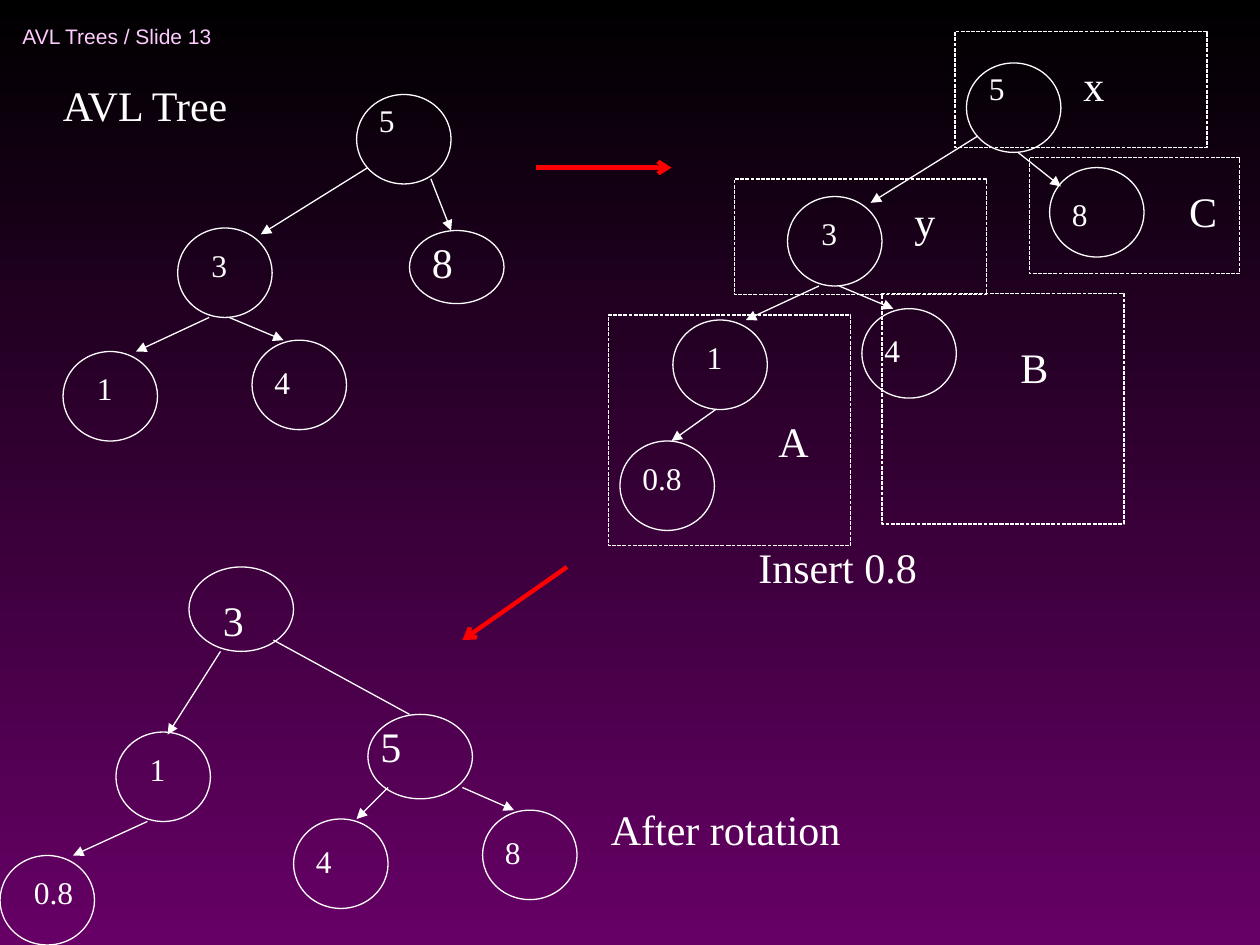
"""Build a slide that shows an AVL tree before and after a rotation."""
from collections import namedtuple

from lxml import etree
from pptx import Presentation
from pptx.dml.color import RGBColor
from pptx.enum.dml import MSO_LINE
from pptx.enum.shapes import MSO_CONNECTOR, MSO_SHAPE
from pptx.enum.text import MSO_ANCHOR
from pptx.oxml.ns import qn
from pptx.util import Inches, Pt

WHITE = RGBColor(0xFF, 0xFF, 0xFF)
BLACK = RGBColor(0x00, 0x00, 0x00)
PURPLE = RGBColor(0x66, 0x00, 0x66)
PINK = RGBColor(0xFF, 0xCC, 0xFF)
RED = RGBColor(0xFF, 0x00, 0x00)
DASHED = MSO_LINE.SQUARE_DOT
ELLIPSE = MSO_SHAPE.OVAL
RECTANGLE = MSO_SHAPE.RECTANGLE
STRAIGHT = MSO_CONNECTOR.STRAIGHT
TOP = MSO_ANCHOR.TOP
MIDDLE = MSO_ANCHOR.MIDDLE

Node = namedtuple("Node", "left top")
Label = namedtuple("Label", "shift drop width height size")
Edge = namedtuple("Edge", "start end")

ROUND = (0.75, 0.71)
FLAT = (0.75, 0.58)
WIDE = (0.83, 0.67)

ROOT = Label(0.08, 0, 1.33, 0.4, 18)
INNER = Label(0.17, 0.09, 1.33, 0.4, 18)
LEFT_LEAF = INNER._replace(width=0.83)
RIGHT_LEAF = Label(0.08, 0.13, 1, 0.4, 18)
LARGE = Label(0.08, 0, 1, 0.5, 24)

ROOT_TO_LEFT = Edge((0.09, 0.58), (0.66, 0.05))
TO_LEFT_LEAF = Edge((0.25, 0.71), (0.58, 0))
TO_RIGHT_LEAF = Edge((0.41, 0.71), (0.25, 0))


class TreeSlide:
    """Holds the text and line style and the slide being drawn."""

    def __init__(self, slide):
        self.slide = slide
        self.text_format = {"name": "Times New Roman", "size": Pt(24)}
        self.line_width = Pt(0.75)

    def background(self, top, bottom):
        fill = self.slide.background.fill
        fill.gradient()
        fill.gradient_angle = 270
        for stop, position, color in zip(fill.gradient_stops, (0, 1), (top, bottom)):
            stop.position = position
            stop.color.rgb = color

    def text(self, words, left, top, width, height=0.5, color=WHITE, anchor=TOP, **changes):
        box = self.slide.shapes.add_textbox(*map(Inches, (left, top, width, height)))
        box.text_frame.word_wrap = True
        box.text_frame.vertical_anchor = anchor
        span = box.text_frame.paragraphs[0].add_run()
        span.text = words
        for key, value in {**self.text_format, **changes}.items():
            setattr(span.font, key, value)
        span.font.color.rgb = color

    def outline(self, kind, left, top, width, height, dash=None):
        shape = self.slide.shapes.add_shape(kind, *map(Inches, (left, top, width, height)))
        shape.shadow.inherit = False
        shape.fill.background()
        shape.line.color.rgb = WHITE
        for key, value in {"width": self.line_width, "dash_style": dash}.items():
            setattr(shape.line, key, value)

    def node(self, key, left, top, label, size=ROUND):
        self.outline(ELLIPSE, left, top, *size)
        self.text(key, left + label.shift, top + label.drop, label.width, label.height,
                  size=Pt(label.size))
        return Node(left, top)

    def edge(self, parent, child, edge, head="triangle"):
        start, end = [(node.left + across, node.top + down)
                      for node, (across, down) in zip((parent, child), edge)]
        self.line(start, end, head=head)

    def line(self, start, end, color=WHITE, width=None, head="triangle"):
        connector = self.slide.shapes.add_connector(STRAIGHT, *map(Inches, (*start, *end)))
        connector.line.color.rgb = color
        connector.line.width = width or self.line_width
        if head:
            etree.SubElement(connector.line._get_or_add_ln(), qn("a:tailEnd"), type=head)
        etree.SubElement(connector._element.spPr, qn("a:effectLst"))

    def step_arrow(self, start, end):
        self.line(start, end, RED, Pt(2.5), "arrow")

    def region(self, letter, left, top, width, height, shift, drop):
        self.outline(RECTANGLE, left, top, width, height, DASHED)
        self.text(letter, left + shift, top + drop, 0.67)

    def shared_tree(self, left, top):
        """Draw keys 5, 3, 1 and 4 from the root's corner; return root and left leaf."""
        root = self.node("5", left, top, ROOT)
        inner = self.node("3", left - 1.42, top + 1.06, INNER)
        left_leaf = self.node("1", left - 2.33, top + 2.04, LEFT_LEAF)
        right_leaf = self.node("4", left - 0.83, top + 1.95, RIGHT_LEAF)
        self.edge(root, inner, ROOT_TO_LEFT)
        self.edge(inner, left_leaf, TO_LEFT_LEAF)
        self.edge(inner, right_leaf, TO_RIGHT_LEAF)
        return root, left_leaf


def draw_first_tree(page):
    page.text("AVL Tree", 0.4, 0.58, 4.08)
    root, _ = page.shared_tree(2.83, 0.75)
    right = page.node("8", 3.25, 1.83, LARGE, FLAT)
    page.edge(root, right, Edge((0.59, 0.67), (0.33, 0)))


def draw_tree_after_insert(page):
    root, left_leaf = page.shared_tree(7.67, 0.5)
    right = page.node("8", 8.33, 1.33, RIGHT_LEAF._replace(drop=0.17))
    added = page.node("0.8", 4.92, 3.5, INNER._replace(shift=0.08))
    page.edge(root, right, Edge((0.41, 0.71), (0.09, 0.15)))
    page.edge(left_leaf, added, Edge((0.34, 0.71), (0.41, 0)))
    tall, short = (1.92, 1.83), (2, 0.92)
    page.region("x", 7.58, 0.25, *short, shift=0.92, drop=0.17)
    page.region("y", 5.83, 1.42, *short, shift=1.33, drop=0.08)
    page.region("A", 4.83, 2.5, *tall, shift=1.25, drop=0.75)
    page.region("B", 7, 2.33, *tall, shift=1, drop=0.33)
    page.region("C", 8.17, 1.25, 1.67, 0.92, shift=1.17, drop=0.17)
    page.text("Insert 0.8", 5.92, 4.25, 4.08)


def draw_rotated_tree(page):
    root = page.node("3", 1.5, 4.5, LARGE._replace(shift=0.17, drop=0.17, width=2.08), WIDE)
    left = page.node("1", 0.92, 5.81, INNER)
    right = page.node("5", 2.92, 5.67, LARGE._replace(shift=0, width=0.83), WIDE)
    added = page.node("0.8", 0, 6.79, LEFT_LEAF)
    near = page.node("4", 2.33, 6.5, RIGHT_LEAF)
    far = page.node("8", 3.83, 6.43, RIGHT_LEAF)
    page.edge(root, left, Edge((0.25, 0.67), (0.41, 0.02)))
    page.edge(root, right, Edge((0.67, 0.58), (0.33, 0)), head=None)
    page.edge(left, added, TO_LEFT_LEAF)
    page.edge(right, near, Edge((0.16, 0.58), (0.5, 0)))
    page.edge(right, far, Edge((0.75, 0.58), (0.25, 0)))
    page.text("After rotation", 4.75, 6.33, 2.5)


def main():
    deck = Presentation()
    deck.slide_width, deck.slide_height = Inches(10), Inches(7.5)
    page = TreeSlide(deck.slides.add_slide(deck.slide_layouts[6]))
    page.background(BLACK, PURPLE)
    page.text("AVL Trees / Slide 13", 0.08, 0.08, 2.75, 0.42, PINK, MIDDLE,
              name="Arial", size=Pt(12))
    draw_first_tree(page)
    page.step_arrow((4.25, 1.33), (5.33, 1.33))
    draw_tree_after_insert(page)
    page.step_arrow((4.5, 4.5), (3.67, 5.08))
    draw_rotated_tree(page)
    deck.save("out.pptx")


if __name__ == "__main__":
    main()
